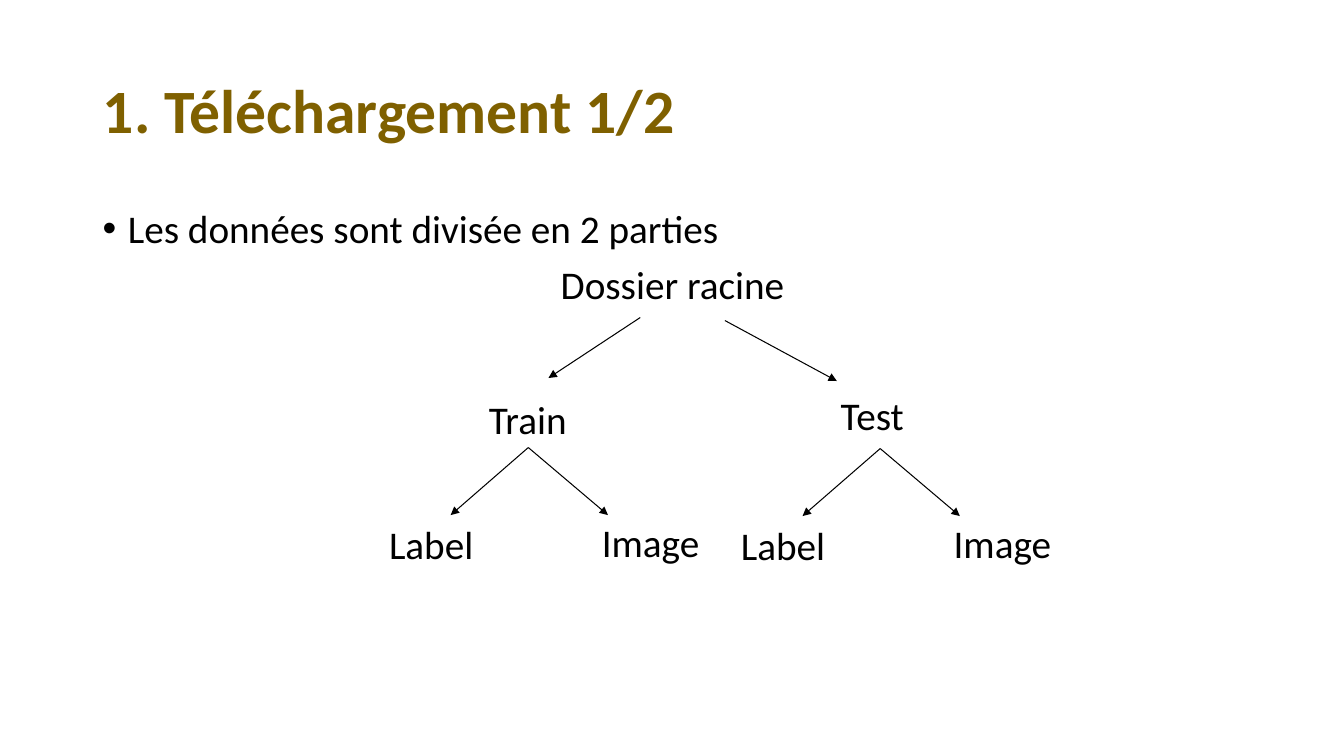
from dataclasses import dataclass

from lxml.etree import SubElement
from pptx import Presentation
from pptx.dml.color import RGBColor
from pptx.enum.shapes import MSO_CONNECTOR as CONNECTOR
from pptx.enum.text import MSO_ANCHOR as ANCHOR, MSO_AUTO_SIZE as AUTO_SIZE, PP_ALIGN as ALIGN
from pptx.oxml.ns import qn
from pptx.util import Inches, Pt


@dataclass(frozen=True)
class Theme:
    font: str = "Calibri"
    title_color: RGBColor = RGBColor(0x7F, 0x60, 0x00)
    ink: RGBColor = RGBColor(0, 0, 0)
    title_size: int = 44
    body_size: int = 28
    line_width: float = 0.75
    line_spacing: float = 0.9


THEME = Theme()
TITLE_ONLY = 5


def write_text(paragraph, text, size=THEME.body_size, color=THEME.ink, bold=False,
               align=ALIGN.LEFT, line_spacing=None, space_before=0):
    paragraph.alignment = align
    paragraph.space_before = Pt(space_before)
    if line_spacing:
        paragraph.line_spacing = line_spacing
    run = paragraph.add_run()
    run.text = text
    run.font.name = THEME.font
    run.font.size = Pt(size)
    run.font.bold = bold
    run.font.color.rgb = color


def add_bullet(paragraph, indent=0.25):
    properties = paragraph._p.get_or_add_pPr()
    properties.set("marL", str(Inches(indent)))
    properties.set("indent", str(-Inches(indent)))
    SubElement(properties, qn("a:buFont"), typeface="Arial")
    SubElement(properties, qn("a:buChar"), char="•")


def add_title(slide, text):
    title = slide.shapes.title
    title.left, title.top = Inches(0.92), Inches(0.4)
    title.width, title.height = Inches(11.5), Inches(1.45)
    frame = title.text_frame
    frame.auto_size = AUTO_SIZE.NONE
    frame.vertical_anchor = ANCHOR.MIDDLE
    write_text(frame.paragraphs[0], text, size=THEME.title_size, color=THEME.title_color,
               bold=True, line_spacing=THEME.line_spacing)


def add_body(slide, statement, root):
    box = slide.shapes.add_textbox(Inches(0.92), Inches(2.03), Inches(11.5), Inches(4.76))
    frame = box.text_frame
    frame.word_wrap = True
    write_text(frame.paragraphs[0], statement, line_spacing=THEME.line_spacing)
    add_bullet(frame.paragraphs[0])
    write_text(frame.add_paragraph(), root, align=ALIGN.CENTER,
               line_spacing=THEME.line_spacing, space_before=10)


def add_node(slide, text, left, top, width):
    box = slide.shapes.add_textbox(Inches(left), Inches(top), Inches(width), Inches(0.57))
    frame = box.text_frame
    frame.word_wrap = True
    frame.auto_size = AUTO_SIZE.SHAPE_TO_FIT_TEXT
    write_text(frame.paragraphs[0], text)


def add_arrow(slide, start, end):
    arrow = slide.shapes.add_connector(
        CONNECTOR.STRAIGHT, *(Inches(length) for length in (*start, *end)))
    arrow.line.color.rgb = THEME.ink
    arrow.line.width = Pt(THEME.line_width)
    SubElement(arrow.line._get_or_add_ln(), qn("a:tailEnd"), type="triangle")
    SubElement(arrow._element.spPr, qn("a:effectLst"))


def add_leaves(slide, x, y):
    """Draw the Label and Image leaves of a folder, with arrows from (x, y)."""
    add_arrow(slide, (x, y), (x - 0.77, y + 0.67))
    add_arrow(slide, (x, y), (x + 0.79, y + 0.67))
    add_node(slide, "Label", x - 1.48, y + 0.67, 1.05)
    add_node(slide, "Image", x + 0.63, y + 0.65, 1.18)


def main():
    presentation = Presentation()
    presentation.slide_width = Inches(13.33)
    presentation.slide_height = Inches(7.5)
    slide = presentation.slides.add_slide(presentation.slide_layouts[TITLE_ONLY])

    # Title, statement and root folder
    add_title(slide, "1. Téléchargement 1/2")
    add_body(slide, "Les données sont divisée en 2 parties", "Dossier racine")

    # Root to the two folders
    add_arrow(slide, (6.35, 3.15), (5.44, 3.75))
    add_arrow(slide, (7.19, 3.18), (8.3, 3.78))
    add_node(slide, "Train", 4.75, 3.87, 0.98)
    add_node(slide, "Test", 8.24, 3.83, 0.83)

    # Folder contents
    add_leaves(slide, 5.24, 4.44)
    add_leaves(slide, 8.73, 4.45)

    presentation.save("out.pptx")


if __name__ == "__main__":
    main()
